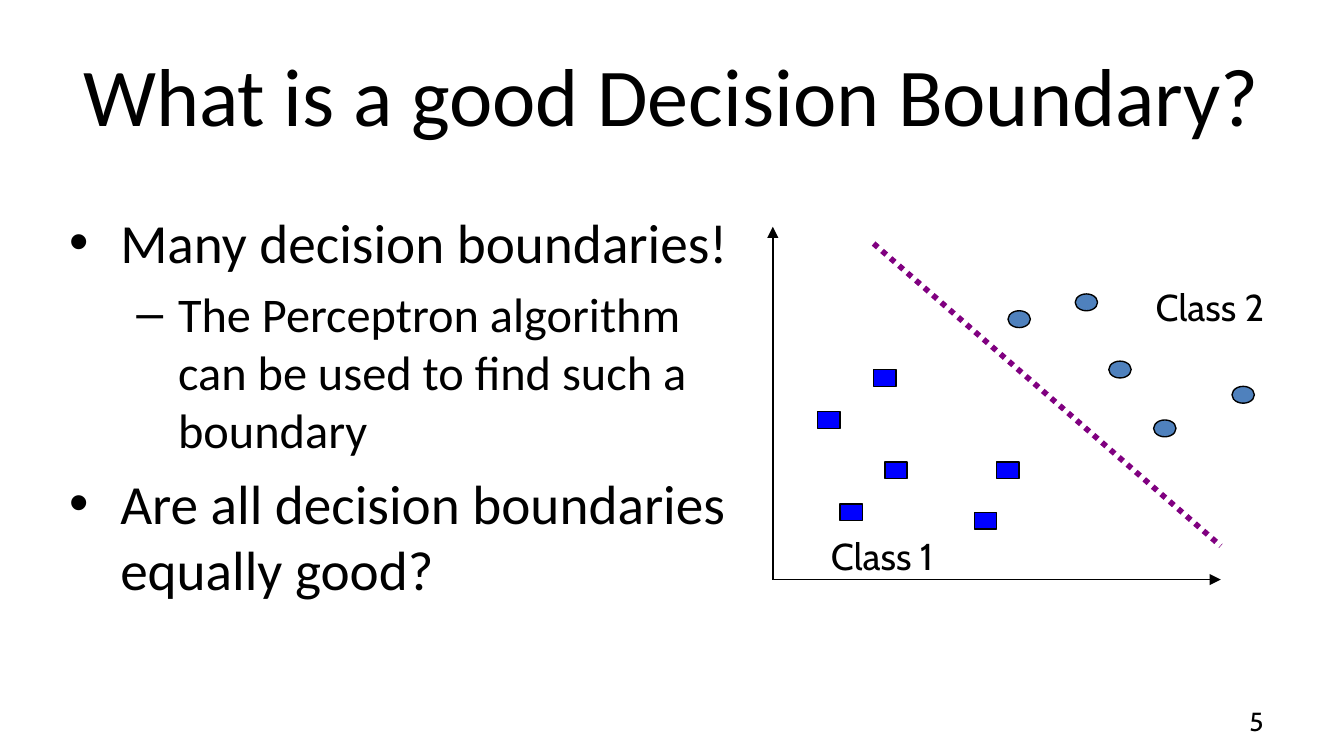
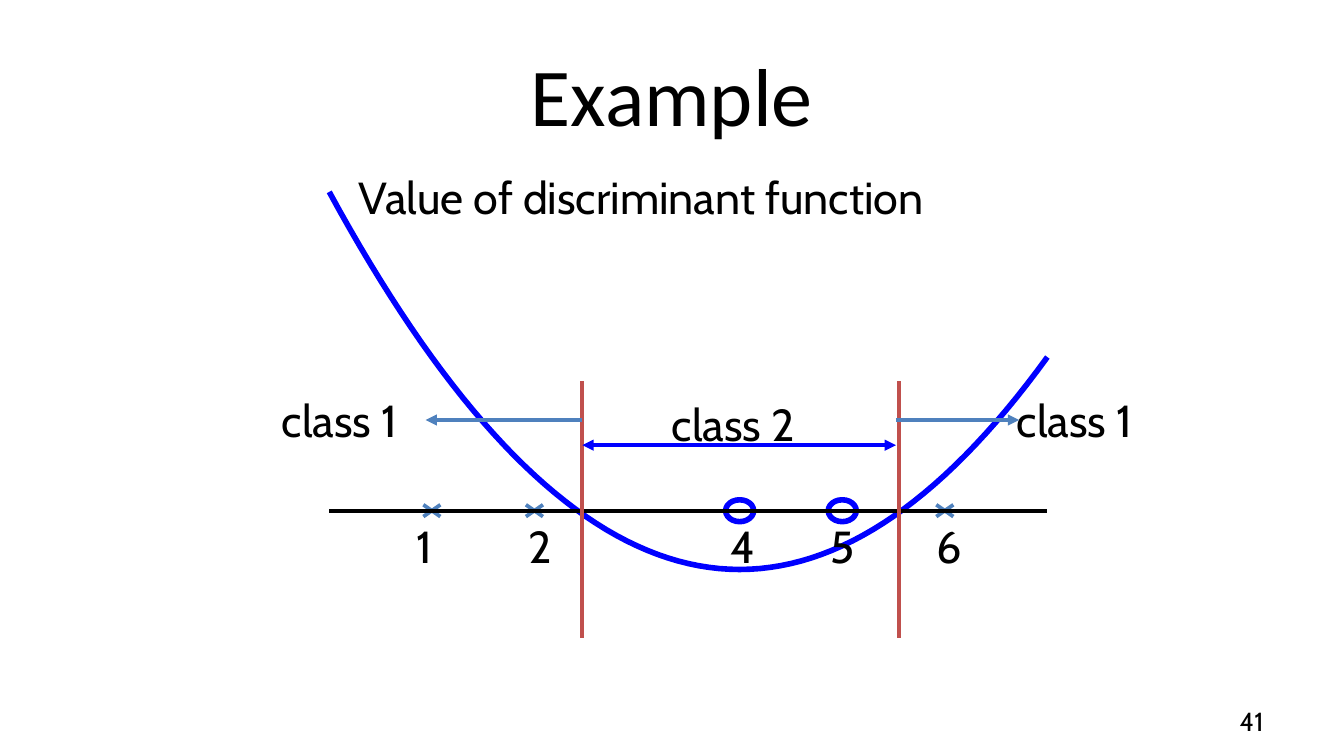
from dataclasses import dataclass
from typing import Optional

from lxml import etree
from pptx import Presentation
from pptx import util as u
from pptx.dml.color import RGBColor
from pptx.enum import dml, shapes, text
from pptx.oxml import ns

COLUMNS, ROWS = 120, 90
COLUMN = u.Inches(10) // COLUMNS
ROW = u.Inches(5.625) // ROWS

BLACK = RGBColor(0x00, 0x00, 0x00)
BLUE = RGBColor(0x00, 0x00, 0xFF)
STEEL = RGBColor(0x4F, 0x81, 0xBD)
PURPLE = RGBColor(0x80, 0x00, 0x80)
RED = RGBColor(0xC0, 0x50, 0x4D)
HEADING_FONT, LABEL_FONT = "Calibri", "Cabin"


@dataclass(frozen=True)
class Label:
    words: str
    col: float
    row: float
    cols: float
    rows: float = 8
    size: float = 24


@dataclass(frozen=True)
class Stroke:
    start: tuple[float, float]
    end: tuple[float, float]
    color: RGBColor = BLACK
    width: float = 2
    arrows: tuple[str, ...] = ()
    dash: Optional[dml.MSO_LINE] = None


@dataclass(frozen=True)
class Marker:
    kind: shapes.MSO_SHAPE
    fill: Optional[RGBColor]
    line: RGBColor
    width: float
    cols: float
    rows: float


@dataclass(frozen=True)
class Bullet:
    words: str
    symbol: str
    size: float
    indent: float
    hanging: float
    level: int = 0


CLASS_1_SAMPLE = Marker(shapes.MSO_SHAPE.RECTANGLE, BLUE, BLACK, 0.75, 2, 2)
CLASS_2_SAMPLE = Marker(shapes.MSO_SHAPE.OVAL, STEEL, BLACK, 0.75, 2, 2)
CLASS_2_RING = Marker(shapes.MSO_SHAPE.OVAL, None, BLUE, 3, 2.5, 2.6)

BULLETS = (
    Bullet("Many decision boundaries!", "•", 29.6, 0.38, 0.38),
    Bullet("The Perceptron algorithm can be used to find such a boundary",
           "–", 25.9, 0.81, 0.31, 1),
    Bullet("Are all decision boundaries equally good?", "•", 29.6, 0.38, 0.38),
)

# Number line of the second slide: column of 0, columns per unit, row of the axis
ZERO_COL, UNIT_COLS, AXIS_ROW = 29.4, 9.16, 60.8
LAST_VALUE, CURVE_STEPS = 7, 70
VERTEX_VALUE, VERTEX_ROW, CURVATURE = 4, 67.8, 2.81


def x(col: float) -> int:
    return round(col * COLUMN)


def y(row: float) -> int:
    return round(row * ROW)


def box(col: float, row: float, cols: float, rows: float) -> tuple[int, ...]:
    return x(col), y(row), x(cols), y(rows)


def style(paragraph, size: float, font: str) -> None:
    for run in paragraph.runs:
        run.font.size = u.Pt(size)
        run.font.name = font
        run.font.color.rgb = BLACK


def draw_label(parent, label: Label) -> None:
    frame = parent.add_textbox(
        *box(label.col, label.row, label.cols, label.rows)).text_frame
    frame.word_wrap = False
    frame.auto_size = text.MSO_AUTO_SIZE.SHAPE_TO_FIT_TEXT
    frame.text = label.words
    style(frame.paragraphs[0], label.size, LABEL_FONT)


def draw_stroke(parent, stroke: Stroke) -> None:
    """Draw a straight line; arrows names the ends ("head", "tail") with a triangle."""
    (col_1, row_1), (col_2, row_2) = stroke.start, stroke.end
    connector = parent.add_connector(
        shapes.MSO_CONNECTOR.STRAIGHT, x(col_1), y(row_1), x(col_2), y(row_2))
    line = connector.line
    line.color.rgb = stroke.color
    line.width = u.Pt(stroke.width)
    if stroke.dash is not None:
        line.dash_style = stroke.dash
    properties = connector.element.spPr
    outline = properties.find(ns.qn("a:ln"))
    for end in stroke.arrows:
        etree.SubElement(outline, ns.qn(f"a:{end}End"), type="triangle")
    etree.SubElement(properties, ns.qn("a:effectLst"))


def finish(shape, fill: Optional[RGBColor], line: RGBColor, width: float) -> None:
    shape.shadow.inherit = False
    if fill is None:
        shape.fill.background()
    else:
        shape.fill.solid()
        shape.fill.fore_color.rgb = fill
    shape.line.color.rgb = line
    shape.line.width = u.Pt(width)


def draw_marker(parent, marker: Marker, col: float, row: float) -> None:
    shape = parent.add_shape(marker.kind, *box(col, row, marker.cols, marker.rows))
    finish(shape, marker.fill, marker.line, marker.width)


def draw_cross(parent, col: float, row: float) -> None:
    half_cols, half_rows = 0.76, 0.7
    for slope in (1, -1):
        draw_stroke(parent, Stroke((col - half_cols * slope, row - half_rows),
                                   (col + half_cols * slope, row + half_rows), STEEL))


def draw_bullets(parent, bullets: tuple[Bullet, ...]) -> None:
    frame = parent.add_textbox(*box(5, 24, 62, 61)).text_frame
    frame.word_wrap = True
    for index, bullet in enumerate(bullets):
        paragraph = frame.add_paragraph() if index else frame.paragraphs[0]
        paragraph.text = bullet.words
        paragraph.level = bullet.level
        paragraph.space_before = u.Pt(round(bullet.size * 0.2, 1))
        style(paragraph, bullet.size, HEADING_FONT)
        properties = paragraph._p.get_or_add_pPr()
        properties.set("marL", str(u.Inches(bullet.indent)))
        properties.set("indent", str(-u.Inches(bullet.hanging)))
        etree.SubElement(properties, ns.qn("a:buFont"), typeface="Arial")
        etree.SubElement(properties, ns.qn("a:buChar"), char=bullet.symbol)


def add_titled_slide(deck, heading: str, number: int):
    slide = deck.slides.add_slide(deck.slide_layouts[5])
    title = slide.shapes.title
    title.left, title.top, title.width, title.height = box(6, 3.6, 108, 15)
    frame = title.text_frame
    frame.text = heading
    frame.auto_size = text.MSO_AUTO_SIZE.NONE
    frame.vertical_anchor = text.MSO_ANCHOR.MIDDLE
    frame.paragraphs[0].alignment = text.PP_ALIGN.CENTER
    style(frame.paragraphs[0], 44, HEADING_FONT)

    footer = slide.shapes.add_textbox(*box(86, 83.4, 28, 4.8)).text_frame
    footer.word_wrap = True
    footer.vertical_anchor = text.MSO_ANCHOR.MIDDLE
    footer.text = str(number)
    footer.paragraphs[0].alignment = text.PP_ALIGN.RIGHT
    style(footer.paragraphs[0], 14, LABEL_FONT)
    return slide


def build_boundary_slide(deck) -> None:
    slide = add_titled_slide(deck, "What is a good Decision Boundary?", 5)
    draw_bullets(slide.shapes, BULLETS)

    plot = slide.shapes.add_group_shape().shapes
    origin = (69, 69)
    for axis_end in ((69, 27), (109, 69)):
        draw_stroke(plot, Stroke(origin, axis_end, width=1, arrows=("tail",)))
    samples = {
        CLASS_2_SAMPLE: ((96, 35), (99, 43), (110, 46), (90, 37), (103, 50)),
        CLASS_1_SAMPLE: ((73, 49), (89, 55), (87, 61), (79, 55), (75, 60), (78, 44)),
    }
    for marker, places in samples.items():
        for col, row in places:
            draw_marker(plot, marker, col, row)
    draw_label(plot, Label("Class 1", 73, 62.7, 12.84, 7, 20))
    draw_label(plot, Label("Class 2", 102, 33, 12.84, 7, 20))
    draw_stroke(plot, Stroke((78, 29), (109, 65), PURPLE, 3,
                             dash=dml.MSO_LINE.ROUND_DOT))


def value_col(value: float) -> float:
    return ZERO_COL + UNIT_COLS * value


def draw_discriminant(parent) -> None:
    values = [LAST_VALUE * step / CURVE_STEPS for step in range(CURVE_STEPS + 1)]
    points = [(x(value_col(value)),
               y(VERTEX_ROW - CURVATURE * (value - VERTEX_VALUE) ** 2))
              for value in values]
    builder = parent.build_freeform(*points[0])
    builder.add_line_segments(points[1:], close=False)
    finish(builder.convert_to_shape(), None, BLUE, 3)


def build_example_slide(deck) -> None:
    canvas = add_titled_slide(deck, "Example", 41).shapes
    for value in (1, 2, 6):
        draw_cross(canvas, value_col(value), AXIS_ROW)
    for value in (4, 5):
        draw_marker(canvas, CLASS_2_RING,
                    value_col(value) - CLASS_2_RING.cols / 2,
                    AXIS_ROW - CLASS_2_RING.rows / 2)
    draw_discriminant(canvas)
    draw_stroke(canvas, Stroke((ZERO_COL, AXIS_ROW),
                               (value_col(LAST_VALUE), AXIS_ROW), width=0))

    draw_label(canvas, Label("Value of discriminant function", 30.8, 19.4, 55.2))
    for value, col in ((1, 36), (2, 46), (4, 64), (5, 73), (6, 82.4)):
        draw_label(canvas, Label(str(value), col, 61, 4.68))

    for col in (52, 80.3):
        draw_stroke(canvas, Stroke((col, 45.4), (col, 75.9), RED))
    for name, col, row in (("class 2", 58.8, 46.4), ("class 1", 89.6, 46),
                           ("class 1", 24, 46)):
        draw_label(canvas, Label(name, col, row, 14.4))
    for span in (Stroke((52, 50), (38, 50), STEEL, arrows=("tail",)),
                 Stroke((80, 50), (91, 50), STEEL, arrows=("tail",)),
                 Stroke((52, 53), (80, 53), BLUE, arrows=("head", "tail"))):
        draw_stroke(canvas, span)


def main() -> None:
    deck = Presentation()
    deck.slide_width, deck.slide_height = COLUMNS * COLUMN, ROWS * ROW
    build_boundary_slide(deck)
    build_example_slide(deck)
    deck.save("out.pptx")


if __name__ == "__main__":
    main()
